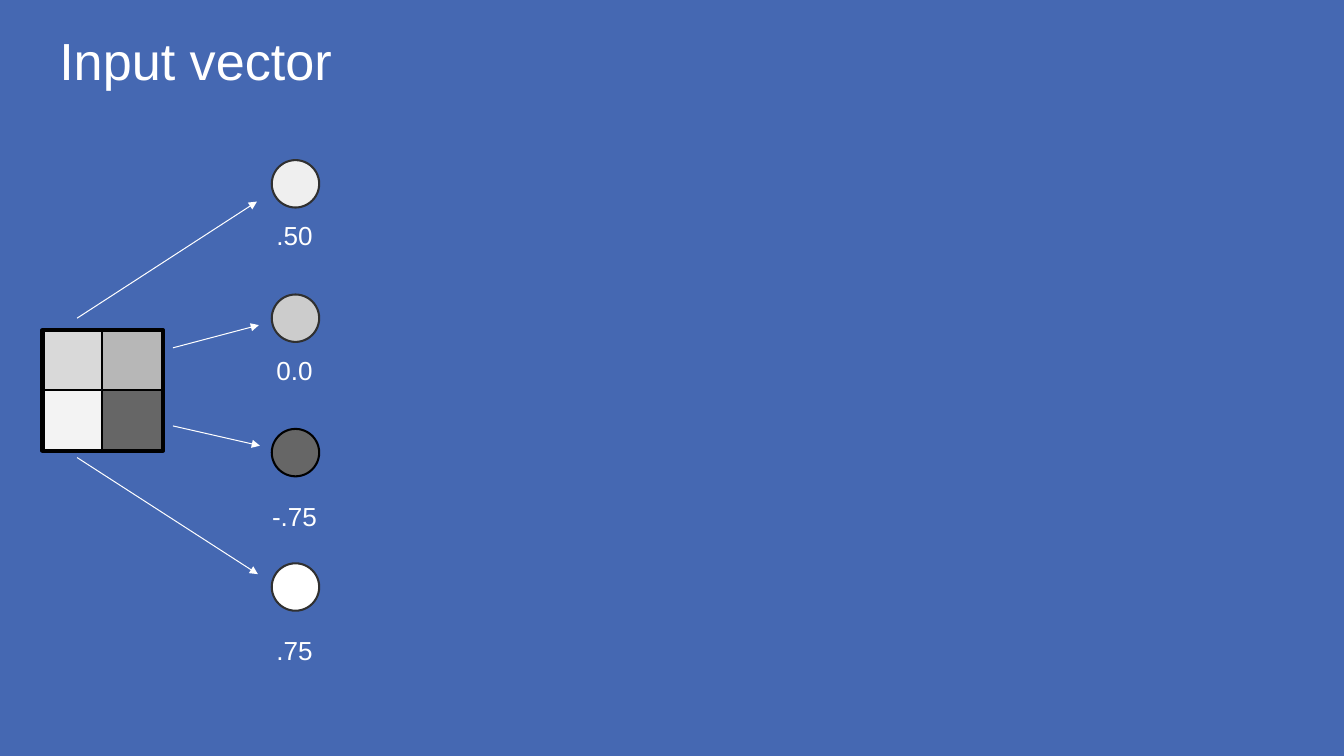
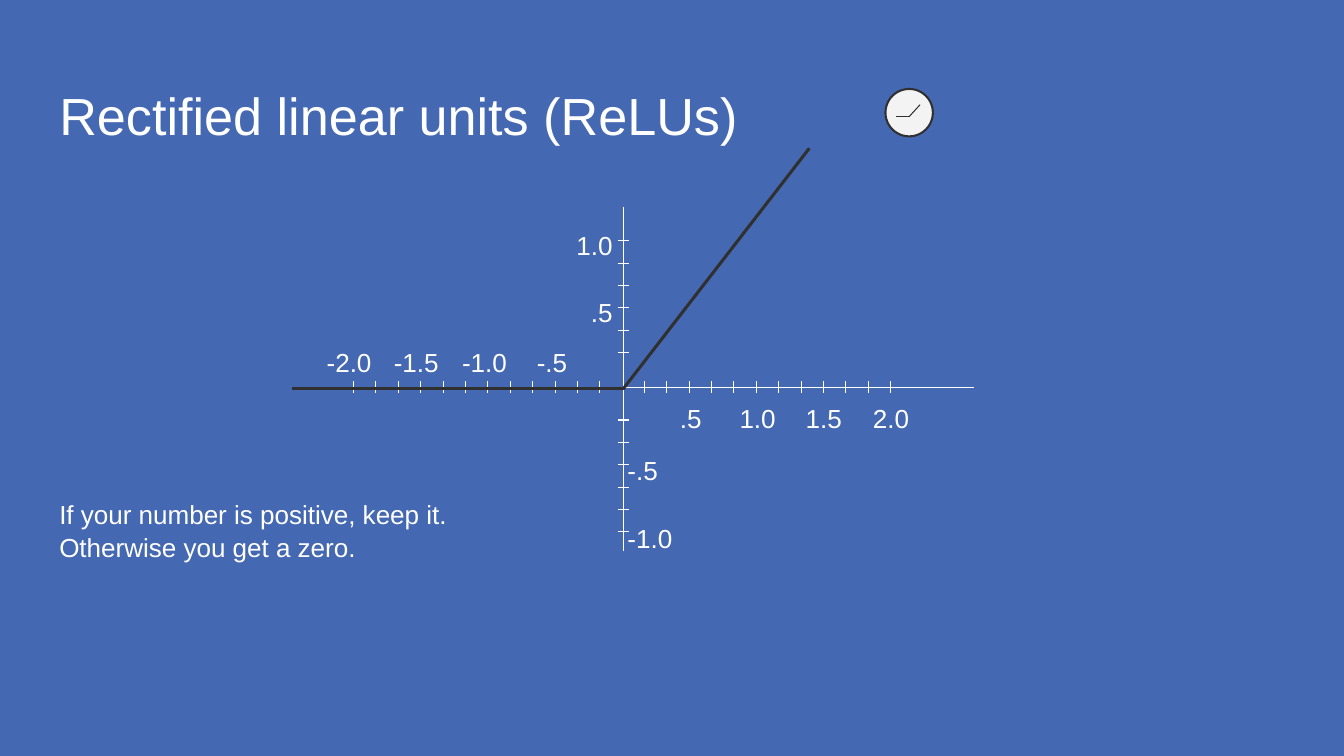
from dataclasses import dataclass

from lxml import etree
from pptx import Presentation, util as u
from pptx.dml import color
from pptx.enum import shapes, text
from pptx.oxml import ns


@dataclass(frozen=True)
class Theme:
    background: str = "4568B2"
    ink: str = "FFFFFF"
    dark: str = "303030"
    black: str = "000000"
    icon_fill: str = "F3F3F3"
    font: str = "Arial"
    title_size: int = 38
    body_size: int = 19
    inset: float = 0.14
    line_spacing: float = 1.07
    hairline: float = 0.75
    outline: float = 1.5
    curve: float = 2.25
    frame: float = 3


THEME = Theme()
LEFT, CENTER, RIGHT = text.PP_ALIGN.LEFT, text.PP_ALIGN.CENTER, text.PP_ALIGN.RIGHT
OVAL, RECTANGLE = shapes.MSO_SHAPE.OVAL, shapes.MSO_SHAPE.RECTANGLE

# Content: input vector
PIXELS = [["D9D9D9", "B7B7B7"], ["F3F3F3", "666666"]]
# value, neuron fill, outline, label top, arrow start, arrow end
NEURONS = [
    (".50", "EFEFEF", THEME.dark, 2.06, (0.78, 3.22), (2.6, 2.04)),
    ("0.0", "CCCCCC", THEME.dark, 3.42, (1.75, 3.52), (2.62, 3.29)),
    ("-.75", "666666", THEME.black, 4.9, (1.75, 4.31), (2.63, 4.51)),
    (".75", "FFFFFF", THEME.dark, 6.26, (0.78, 4.63), (2.61, 5.81)),
]
NEURON_SIZE = 0.48

# Content: rectified linear units
RULE = ["If your number is positive, keep it.", "Otherwise you get a zero."]
ORIGIN = (6.31, 3.92)
AXES = [((2.96, 3.92), (9.86, 3.92)), ((6.31, 2.09), (6.31, 5.58))]
TICK_STEP = 0.68 / 3
TICK_HALF = 0.06
# first tick, direction, number of ticks
X_TICKS = [(6.52, 1, 12), (6.07, -1, 12)]
Y_TICKS = [(3.57, -1, 6), (4.25, 1, 6)]
# label, left, top, alignment
AXIS_LABELS = [
    ("1.0", 5.58, 2.16, RIGHT), (".5", 5.58, 2.84, RIGHT),
    ("-.5", 6.21, 4.44, LEFT), ("-1.0", 6.21, 5.12, LEFT),
    ("-2.0", 3.14, 3.34, RIGHT), ("-1.5", 3.82, 3.34, RIGHT),
    ("-1.0", 4.51, 3.34, RIGHT), ("-.5", 5.12, 3.34, RIGHT),
    (".5", 6.48, 3.91, RIGHT), ("1.0", 7.23, 3.91, RIGHT),
    ("1.5", 7.9, 3.91, RIGHT), ("2.0", 8.58, 3.91, RIGHT),
]
CURVE = [((6.32, 3.93), (2.95, 3.93)), ((6.31, 3.93), (8.19, 1.5))]
ICON_LINES = [((9.07, 1.18), (9.21, 1.18)), ((9.2, 1.18), (9.31, 1.06))]


def rgb(value):
    return color.RGBColor.from_string(value)


def write(frame, lines, size, alignment=LEFT):
    """Fill a text frame with one paragraph for each line."""
    frame.word_wrap = True
    frame.auto_size = text.MSO_AUTO_SIZE.NONE
    frame.vertical_anchor = text.MSO_ANCHOR.TOP
    for side in ("left", "top", "right", "bottom"):
        setattr(frame, f"margin_{side}", u.Inches(THEME.inset))
    for index, line in enumerate(lines):
        paragraph = frame.add_paragraph() if index else frame.paragraphs[0]
        paragraph.alignment = alignment
        paragraph.line_spacing = THEME.line_spacing
        paragraph.space_before = paragraph.space_after = u.Pt(0)
        run = paragraph.add_run()
        run.text = line
        run.font.name = THEME.font
        run.font.size = u.Pt(size)
        run.font.color.rgb = rgb(THEME.ink)


def add_text(slide, lines, left, top, width, height, alignment=LEFT):
    box = slide.shapes.add_textbox(*map(u.Inches, (left, top, width, height)))
    write(box.text_frame, lines, THEME.body_size, alignment)


def add_figure(slide, kind, left, top, width, height, fill, line, weight):
    shape = slide.shapes.add_shape(kind, *map(u.Inches, (left, top, width, height)))
    shape.shadow.inherit = False
    if fill:
        shape.fill.solid()
        shape.fill.fore_color.rgb = rgb(fill)
    else:
        shape.fill.background()
    shape.line.color.rgb = rgb(line)
    shape.line.width = u.Pt(weight)


def add_line(parent, start, end, line=THEME.ink, weight=THEME.hairline, arrow=False):
    connector = parent.shapes.add_connector(
        shapes.MSO_CONNECTOR.STRAIGHT, *map(u.Inches, (*start, *end)))
    connector.line.color.rgb = rgb(line)
    connector.line.width = u.Pt(weight)
    if arrow:
        etree.SubElement(connector.line._get_or_add_ln(), ns.qn("a:tailEnd"), type="triangle")
    etree.SubElement(connector._element.spPr, ns.qn("a:effectLst"))


def add_slide(presentation, title, top):
    slide = presentation.slides.add_slide(presentation.slide_layouts[5])
    shape = slide.shapes.title
    shape.left, shape.top, shape.width, shape.height = map(
        u.Inches, (0.46, top, 12.67, 0.85))
    write(shape.text_frame, [title], THEME.title_size)
    return slide


def build_input_vector(presentation):
    slide = add_slide(presentation, "Input vector", 0.1)
    # Pixel grid and its frame
    left, top, size, pitch = 0.43, 3.34, 0.6, 0.61
    for row, fills in enumerate(PIXELS):
        for column, fill in enumerate(fills):
            add_figure(slide, RECTANGLE, left + column * pitch, top + row * pitch,
                       size, size, fill, THEME.black, THEME.hairline)
    add_figure(slide, RECTANGLE, left, top, 2 * pitch, 2 * pitch,
               None, THEME.black, THEME.frame)
    # Neurons with arrows and values
    for index, (value, fill, line, label_top, start, end) in enumerate(NEURONS):
        add_figure(slide, OVAL, 2.75, 1.62 + index * 1.36, NEURON_SIZE, NEURON_SIZE,
                   fill, line, THEME.outline)
        add_line(slide, start, end, arrow=True)
        add_text(slide, [value], 2.44, label_top, 1.08, 0.67, CENTER)


def tick_positions(runs):
    return [first + direction * step * TICK_STEP
            for first, direction, count in runs for step in range(count)]


def build_relu(presentation):
    slide = add_slide(presentation, "Rectified linear units (ReLUs)", 0.66)
    # Axes, ticks and labels
    origin_x, origin_y = ORIGIN
    for start, end in AXES:
        add_line(slide, start, end)
    for x in tick_positions(X_TICKS):
        add_line(slide, (x, origin_y - TICK_HALF), (x, origin_y + TICK_HALF))
    for y in tick_positions(Y_TICKS):
        add_line(slide, (origin_x - TICK_HALF, y), (origin_x + TICK_HALF, y))
    for label, left, top, alignment in AXIS_LABELS:
        add_text(slide, [label], left, top, 0.76, 0.53, alignment)
    # Function curve
    for start, end in CURVE:
        add_line(slide, start, end, THEME.dark, THEME.curve)
    # Small unit icon
    add_figure(slide, OVAL, 8.96, 0.9, NEURON_SIZE, NEURON_SIZE,
               THEME.icon_fill, THEME.dark, THEME.outline)
    icon = slide.shapes.add_group_shape()
    for start, end in ICON_LINES:
        add_line(icon, start, end, THEME.dark)
    # Rule in words
    add_text(slide, RULE, 0.46, 4.88, 4.26, 0.4)


def main():
    presentation = Presentation()
    presentation.slide_width = u.Inches(13.6)
    presentation.slide_height = u.Inches(7.65)
    background = presentation.slide_master.background.fill
    background.solid()
    background.fore_color.rgb = rgb(THEME.background)
    build_input_vector(presentation)
    build_relu(presentation)
    presentation.save("out.pptx")


if __name__ == "__main__":
    main()
